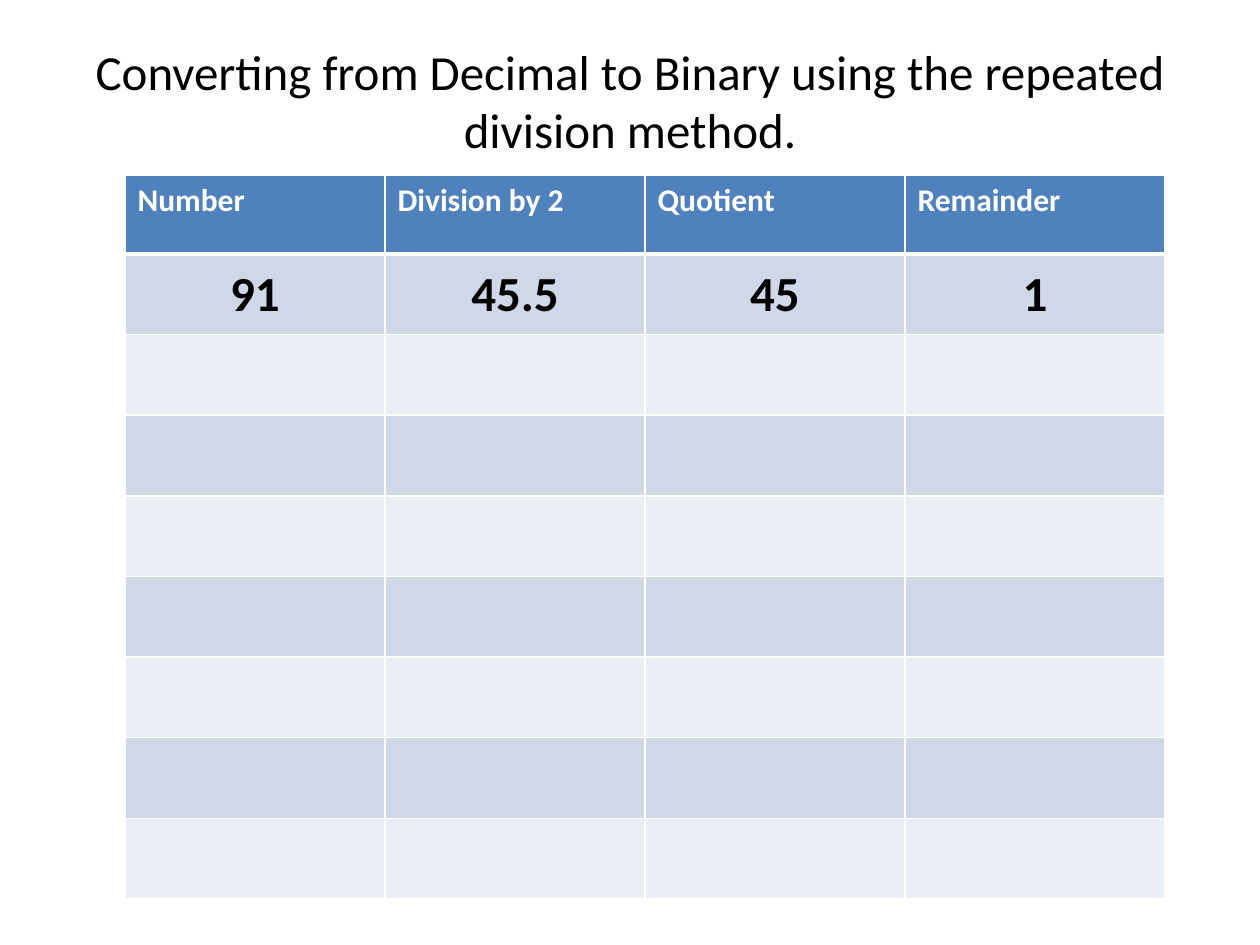
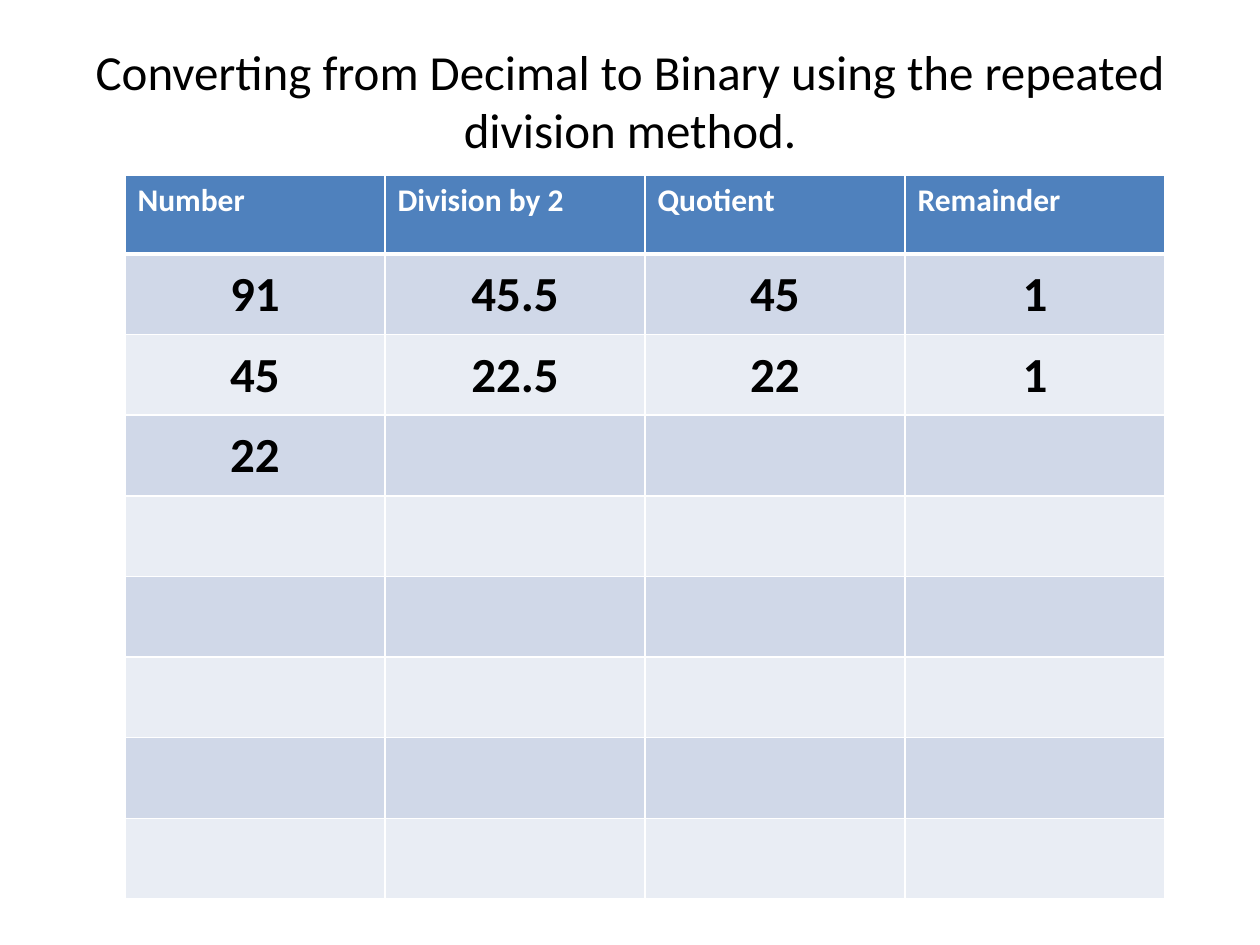
from lxml import etree
from pptx import Presentation
from pptx.dml.color import RGBColor
from pptx.enum.text import MSO_ANCHOR, MSO_AUTO_SIZE, PP_ALIGN
from pptx.oxml.ns import qn
from pptx.util import Pt

EMU_PER_PX = 914400 // 126
SLIDE_W, SLIDE_H = 1260, 945
TITLE_ONLY = 5
CENTER, LEFT = PP_ALIGN.CENTER, PP_ALIGN.LEFT
MIDDLE, TOP = MSO_ANCHOR.MIDDLE, MSO_ANCHOR.TOP
NO_AUTOFIT = MSO_AUTO_SIZE.NONE

FONT = "Calibri"
COLORS = {
    "text": "000000",
    "header_text": "FFFFFF",
    "header": "4F81BD",
    "odd_row": "D0D8E8",
    "even_row": "E9EDF4",
    "border": "FFFFFF",
}

TITLE = "Converting from Decimal to Binary using the repeated division method."
HEADINGS = ["Number", "Division by 2", "Quotient", "Remainder"]
STEPS = [["91", "45.5", "45", "1"], ["45", "22.5", "22", "1"], ["22"]]
# Division steps filled in on each slide
SLIDE_STEPS = [STEPS[:1], STEPS]

TABLE_LEFT, TABLE_TOP, TABLE_H = 125, 175, 724
COLUMN_W, HEADER_H, BODY_ROWS = 260, 79, 8


def px(value):
    return round(value * EMU_PER_PX)


def rgb(name):
    return RGBColor.from_string(COLORS[name])


def format_text(tf, size, color, bold, align):
    for p in tf.paragraphs:
        p.alignment = align
        for r in p.runs:
            r.font.name = FONT
            r.font.size = Pt(size)
            r.font.bold = bold
            r.font.color.rgb = rgb(color)


def add_title(s, text):
    sp = s.shapes.title
    sp.left, sp.top, sp.width, sp.height = px(63), px(40), px(1134), px(120)
    tf = sp.text_frame
    tf.text = text
    tf.word_wrap = True
    tf.auto_size = NO_AUTOFIT
    tf.vertical_anchor = MIDDLE
    format_text(tf, 28, "text", False, CENTER)


def set_borders(cell, top, bottom):
    tc_pr = cell._tc.get_or_add_tcPr()
    for side, width in (("L", 1), ("R", 1), ("T", top), ("B", bottom)):
        ln = etree.SubElement(tc_pr, qn(f"a:ln{side}"), w=str(Pt(width)))
        fill = etree.SubElement(ln, qn("a:solidFill"))
        etree.SubElement(fill, qn("a:srgbClr"), val=COLORS["border"])


def style_cell(cell, text, row):
    # A thick rule separates the header from the steps
    set_borders(cell, 3 if row == 1 else 1, 3 if row == 0 else 1)
    fill = "header" if row == 0 else "odd_row" if row % 2 else "even_row"
    cell.fill.solid()
    cell.fill.fore_color.rgb = rgb(fill)
    if not text:
        return
    cell.text_frame.text = text
    if row == 0:
        cell.vertical_anchor = TOP
        format_text(cell.text_frame, 18, "header_text", True, LEFT)
    else:
        cell.vertical_anchor = MIDDLE
        cell.margin_left = cell.margin_right = cell.margin_top = px(1)
        cell.margin_bottom = 0
        format_text(cell.text_frame, 28, "text", True, CENTER)


def add_division_table(s, steps):
    columns = len(HEADINGS)
    table = s.shapes.add_table(
        BODY_ROWS + 1, columns, px(TABLE_LEFT), px(TABLE_TOP),
        px(COLUMN_W * columns), px(TABLE_H)).table
    table.horz_banding = False
    for column in table.columns:
        column.width = px(COLUMN_W)
    body_h = (TABLE_H - HEADER_H) / BODY_ROWS
    rows = [HEADINGS] + steps
    for i, row in enumerate(table.rows):
        row.height = px(body_h if i else HEADER_H)
        values = rows[i] if i < len(rows) else []
        for j, cell in enumerate(row.cells):
            style_cell(cell, values[j] if j < len(values) else "", i)


def main():
    prs = Presentation()
    prs.slide_width, prs.slide_height = px(SLIDE_W), px(SLIDE_H)
    for steps in SLIDE_STEPS:
        s = prs.slides.add_slide(prs.slide_layouts[TITLE_ONLY])
        add_title(s, TITLE)
        add_division_table(s, steps)
    prs.save("out.pptx")


if __name__ == "__main__":
    main()
